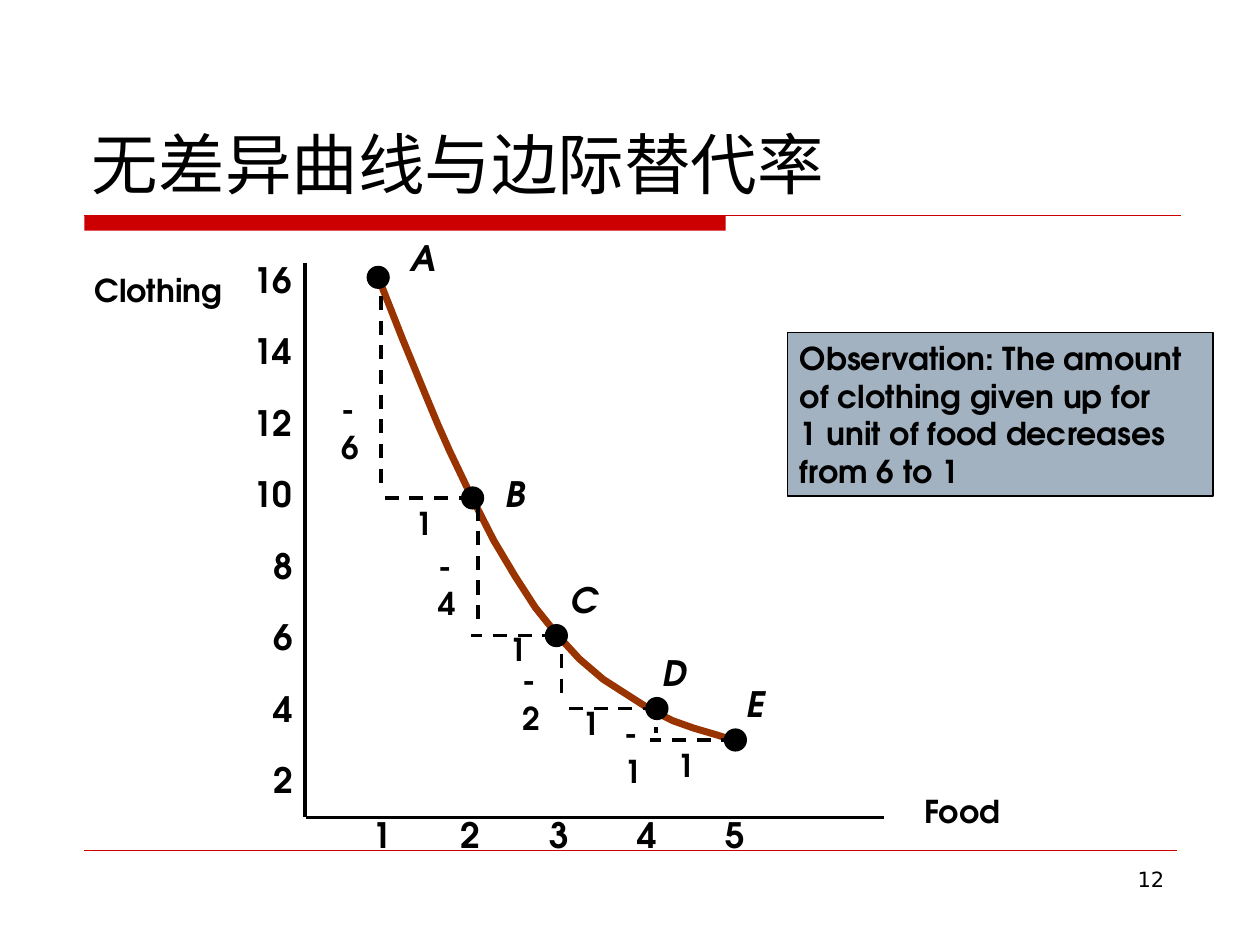
import dataclasses
import pptx
import pptx.dml.color
import pptx.enum.dml
import pptx.enum.shapes
import pptx.enum.text
import pptx.oxml
import pptx.util

Inches = pptx.util.Inches
Shapes = pptx.enum.shapes.MSO_SHAPE
Align = pptx.enum.text.PP_ALIGN
Anchor = pptx.enum.text.MSO_ANCHOR
LABEL_FONT = "TeX Gyre Adventor"
PLAIN_FONT = "DejaVu Sans"
BLACK, RED, BROWN, SLATE = "000000", "CC0000", "993300", "A3B2C1"
DOT = 0.17

POINTS = {"A": (0.96, 16.03), "B": (2.03, 9.86), "C": (2.98, 6.01),
          "D": (4.12, 3.97), "E": (5.01, 3.09)}
LETTERS = {"A": (1.19, 17.34), "B": (2.26, 10.75), "C": (3, 7.79),
           "D": (4.04, 5.74), "E": (4.99, 4.86)}
CURVE = [(0.96, 16.03), (1.23, 14.34), (1.5, 12.72), (1.63, 11.95),
         (1.77, 11.17), (2.03, 9.83), (2.27, 8.67), (2.51, 7.68),
         (2.74, 6.8), (2.99, 6.03), (3.24, 5.36), (3.51, 4.79),
         (3.8, 4.33), (4.04, 3.95), (4.3, 3.63), (4.54, 3.42),
         (4.79, 3.24), (5.01, 3.07)]


@dataclasses.dataclass
class Box:
    left: float
    top: float
    width: float
    height: float

    def emu(self):
        return [Inches(v) for v in (self.left, self.top, self.width, self.height)]


@dataclasses.dataclass
class Step:
    target: str
    drop: str
    drop_food: float
    drop_start: float
    run_start: float
    drop_label: tuple
    run_label: tuple


STEPS = [
    Step("B", "-6", 0.99, 15.51, 1.04, (0.4, 13.04), (1.24, 9.87)),
    Step("C", "-4", 2.09, 9.62, 2.01, (1.5, 8.67), (2.31, 6.34)),
    Step("D", "-2", 3.04, 5.5, 3.03, (2.46, 5.46), (3.14, 4.26)),
    Step("E", "-1", 4.11, 3.45, 4.04, (3.61, 3.98), (4.21, 3.1)),
]


def colour(code):
    return pptx.dml.color.RGBColor.from_string(code)


def write(shape, text, size=18, font=LABEL_FONT, bold=True, italic=False,
          align=Align.LEFT, anchor=Anchor.TOP, wrap=False):
    frame = shape.text_frame
    frame.text = text
    frame.word_wrap = wrap
    frame.auto_size = pptx.enum.text.MSO_AUTO_SIZE.NONE
    frame.vertical_anchor = anchor
    for paragraph in frame.paragraphs:
        paragraph.alignment = align
        paragraph.font.size = pptx.util.Pt(size)
        paragraph.font.name = font
        paragraph.font.bold = bold
        paragraph.font.italic = italic
        paragraph.font.color.rgb = colour(BLACK)


def label(slide, box, text, **style):
    write(slide.shapes.add_textbox(*box.emu()), text, **style)


def line(slide, start, end, width=2, tint=BLACK, dashed=False):
    stroke = slide.shapes.add_connector(
        pptx.enum.shapes.MSO_CONNECTOR.STRAIGHT,
        *[Inches(v) for v in (*start, *end)])
    stroke.line.color.rgb = colour(tint)
    stroke.line.width = pptx.util.Pt(width)
    if dashed:
        stroke.line.dash_style = pptx.enum.dml.MSO_LINE.DASH
    stroke._element.spPr.append(pptx.oxml.parse_xml(
        '<a:effectLst xmlns:a="http://schemas.openxmlformats.org/drawingml/2006/main"/>'))


def solid(slide, kind, box, fill, outline=BLACK):
    shape = slide.shapes.add_shape(kind, *box.emu())
    shape.shadow.inherit = False
    shape.fill.solid()
    shape.fill.fore_color.rgb = colour(fill)
    if outline:
        shape.line.color.rgb = colour(outline)
        shape.line.width = pptx.util.Pt(1)
    else:
        shape.line.fill.background()
    return shape


def header(slide, box):
    title = slide.shapes.title
    title.left, title.top, title.width, title.height = box.emu()
    write(title, "无差异曲线与边际替代率", size=38, font=PLAIN_FONT,
          bold=False, anchor=Anchor.BOTTOM, wrap=True)
    left, top = box.left + 0.04, box.top + box.height + 0.05
    solid(slide, Shapes.RECTANGLE, Box(left, top, 5.09, 0.12), RED, None)
    line(slide, (left, top), (left + 8.7, top), 0.75, RED)


def footer(slide, box):
    line(slide, (box.left, box.top), (box.left + box.width, box.top), 0.25, RED)
    number = Box(box.left + box.width * 0.75, box.top + 0.08,
                 box.width * 0.25, box.height - 0.08)
    label(slide, number, "12", size=12, font=PLAIN_FONT, bold=False,
          align=Align.RIGHT, wrap=True)


def placer(box):
    def place(food, clothing):
        return (box.left + box.width * food / 5,
                box.top + box.height * (1 - clothing / 16))
    return place


def axes(slide, box):
    place = placer(box)
    line(slide, place(0.14, 0.92), place(6.7, 0.92))
    line(slide, place(0.13, 16.42), place(0.13, 0.95))
    for food in range(1, 6):
        left = place(food, 0)[0] - 0.17
        label(slide, Box(left, box.top + box.height - 0.34, 0.36, 0.43),
              str(food), size=20)
    for clothing in range(2, 17, 2):
        width = 0.52 if clothing >= 10 else 0.36
        top = place(0, clothing)[1] - 0.21
        label(slide, Box(box.left + 0.1 - width, top, width, 0.43),
              str(clothing), size=20)
    label(slide, Box(*place(7.01, 1.8), 0.8, 0.4), "Food")
    label(slide, Box(*place(-2.43, 16.39), 1.26, 0.4), "Clothing",
          align=Align.CENTER)


def curve(slide, box):
    place = placer(box)
    start, *rest = [tuple(Inches(v) for v in place(*point)) for point in CURVE]
    builder = slide.shapes.build_freeform(*start)
    builder.add_line_segments(rest, close=False)
    indifference = builder.convert_to_shape()
    indifference.shadow.inherit = False
    indifference.fill.background()
    indifference.line.color.rgb = colour(BROWN)
    indifference.line.width = pptx.util.Pt(4)
    for name, point in POINTS.items():
        x, y = place(*point)
        solid(slide, Shapes.OVAL, Box(x - DOT / 2, y - DOT / 2, DOT, DOT), BLACK)
        label(slide, Box(*place(*LETTERS[name]), 0.37, 0.43), name,
              size=20, italic=True)


def steps(slide, box):
    place = placer(box)
    for step in STEPS:
        food, clothing = POINTS[step.target]
        line(slide, place(step.drop_food, step.drop_start),
             place(step.drop_food, clothing + 0.19), dashed=True)
        line(slide, place(food, clothing), place(step.run_start, clothing),
             dashed=True)
        label(slide, Box(*place(*step.drop_label), 0.42, 0.4), step.drop, wrap=True)
        label(slide, Box(*place(*step.run_label), 0.34, 0.4), "1")


def observation(slide, box):
    note = solid(slide, Shapes.RECTANGLE, box, SLATE)
    write(note, "Observation: The amount\nof clothing given up for\n"
                "1 unit of food decreases\nfrom 6 to 1")


def main():
    deck = pptx.Presentation()
    deck.slide_width, deck.slide_height = Inches(10), Inches(7.5)
    slide = deck.slides.add_slide(deck.slide_layouts[5])
    plot = Box(2.33, 2.21, 3.5, 4.54)
    header(slide, Box(0.63, 0.33, 8.75, 1.33))
    footer(slide, Box(0.67, 6.75, 8.67, 0.6))
    curve(slide, plot)
    steps(slide, plot)
    observation(slide, Box(6.25, 2.64, 3.38, 1.3))
    axes(slide, plot)
    deck.save("out.pptx")


if __name__ == "__main__":
    main()
